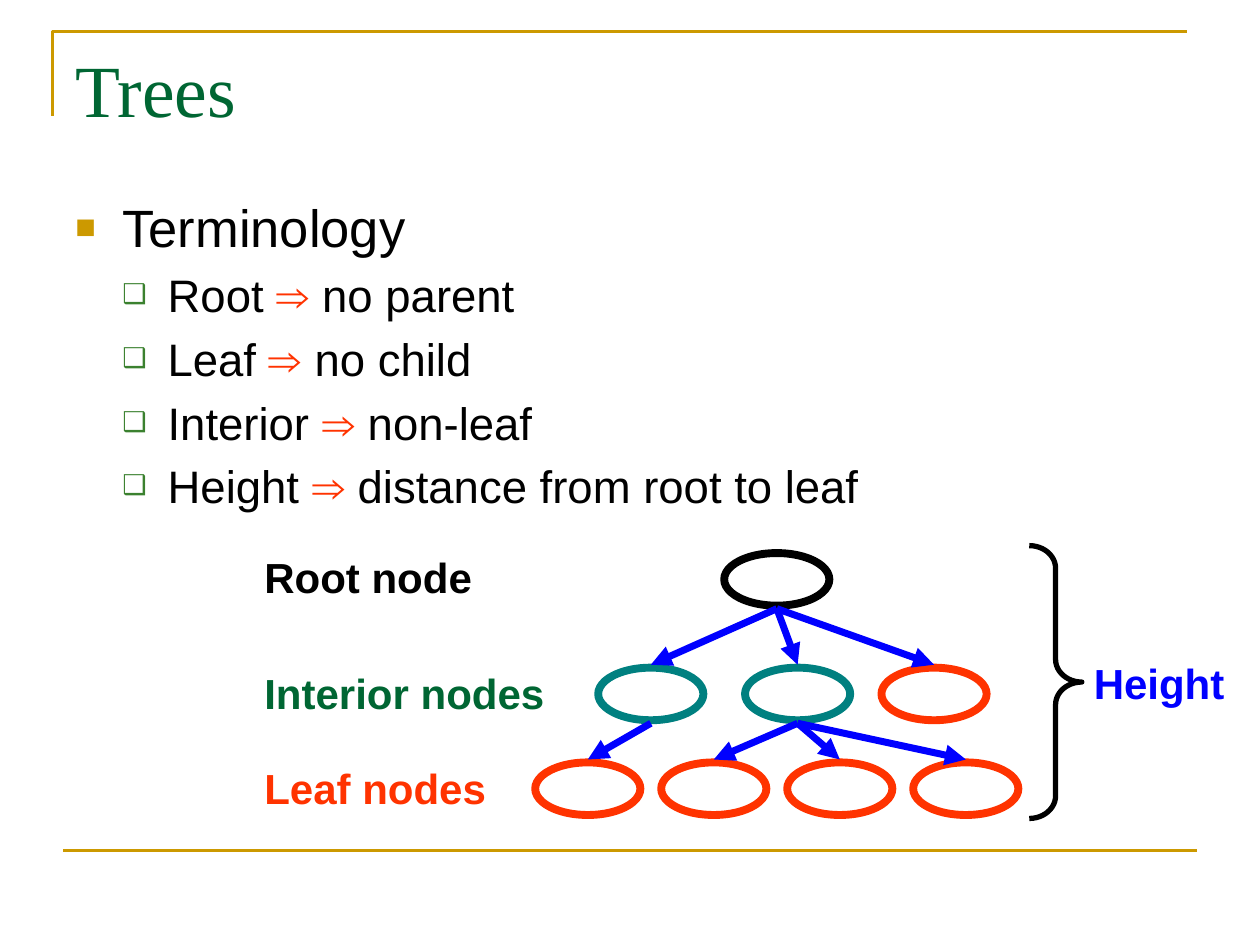
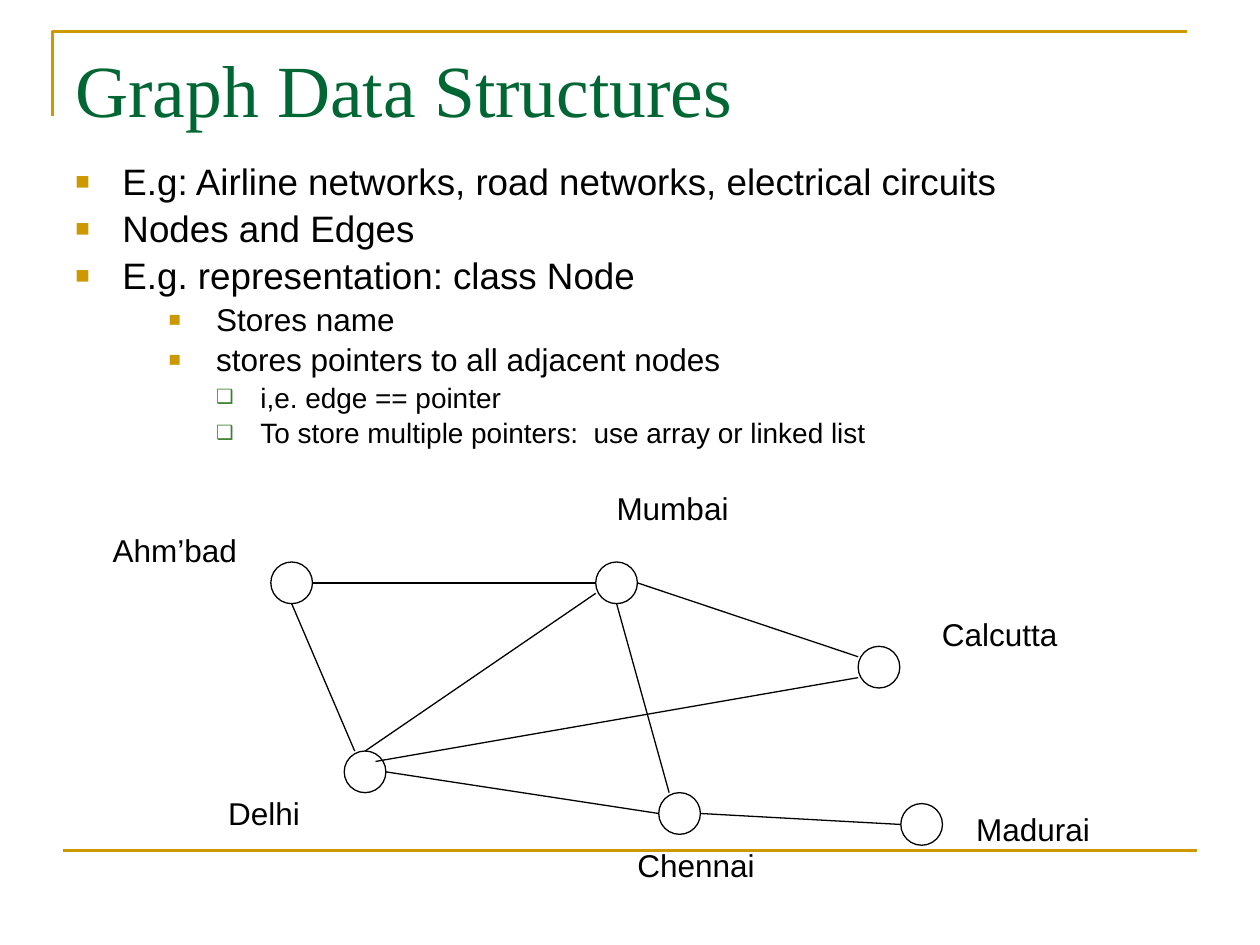
from dataclasses import dataclass

from lxml import etree
from pptx import Presentation
from pptx import util as u
from pptx.dml.color import RGBColor
from pptx.enum import shapes, text
from pptx.oxml.ns import qn


@dataclass(frozen=True)
class Theme:
    gold: str = "CC9900"
    green: str = "006633"
    leaf_green: str = "3B812F"
    teal: str = "008080"
    red: str = "FF3300"
    blue: str = "0000FF"
    black: str = "000000"
    title_font: str = "Times New Roman"
    body_font: str = "Arial"
    title_size: int = 42
    topic_size: int = 30
    term_size: int = 26
    label_size: int = 24
    point_size: int = 21
    detail_size: int = 18
    note_size: int = 16


@dataclass(frozen=True)
class Level:
    size: int
    left: float
    hanging: float
    bullet: str
    bullet_color: str
    bullet_percent: int


THEME = Theme()
SQUARE = ("■", THEME.gold, 65)
TOPIC = Level(THEME.topic_size, 0.95, 0.95, *SQUARE)
TERM = Level(THEME.term_size, 1.86, 0.91, "❑", THEME.leaf_green, 60)
POINT = Level(THEME.point_size, 0.95, 0.95, *SQUARE)
DETAIL = Level(THEME.detail_size, 2.84, 0.96, *SQUARE)
NOTE = Level(THEME.note_size, 3.73, 0.89, "❑", THEME.leaf_green, 70)


def rgb(color):
    return RGBColor.from_string(color)


def cm(*lengths):
    return [u.Cm(length) for length in lengths]


class Deck:
    def __init__(self, theme):
        self.theme = theme
        self.prs = Presentation()
        self.prs.slide_width, self.prs.slide_height = cm(25.4, 19.05)
        self.slide = None

    def new_slide(self, title):
        self.slide = self.prs.slides.add_slide(self.prs.slide_layouts[6])
        corner = self.slide.shapes.build_freeform(*cm(1.06, 2.33))
        corner.add_line_segments([cm(1.06, 0.64), cm(23.92, 0.64)], close=False)
        self.outline(corner.convert_to_shape(), self.theme.gold, 1.5)
        self.line((1.27, 17.15), (24.13, 17.15), self.theme.gold, 1.5)
        frame = self.text_box(1.27, 0.76, 22.86, 3.18)
        frame.text = title
        self.style(frame.paragraphs[0].font, self.theme.title_size,
                   self.theme.green, self.theme.title_font)

    def style(self, font, size, color, name=None, bold=False):
        font.name = name or self.theme.body_font
        font.size = u.Pt(size)
        font.bold = bold
        font.color.rgb = rgb(color)

    def outline(self, shape, color, width):
        shape.shadow.inherit = False
        shape.fill.background()
        shape.line.color.rgb = rgb(color)
        shape.line.width = u.Pt(width)

    def text_box(self, left, top, width, height):
        frame = self.slide.shapes.add_textbox(*cm(left, top, width, height)).text_frame
        frame.word_wrap = True
        return frame

    def label(self, words, left, top, width, height, size, color, bold=False):
        frame = self.text_box(left, top, width, height)
        frame.word_wrap = False
        frame.auto_size = text.MSO_AUTO_SIZE.SHAPE_TO_FIT_TEXT
        frame.text = words
        self.style(frame.paragraphs[0].font, size, color, bold=bold)

    def bullets(self, left, top, width, height, items, spacing=1.0):
        frame = self.text_box(left, top, width, height)
        for number, (level, *parts) in enumerate(items):
            paragraph = frame.add_paragraph() if number else frame.paragraphs[0]
            paragraph.line_spacing = spacing
            if number:
                paragraph.space_before = u.Pt(round(level.size * 0.2, 1))
            self.bullet(paragraph, level)
            self.style(paragraph.font, level.size, self.theme.black)
            for part in parts:
                run = paragraph.add_run()
                run.text = part
                if part == "⇒ ":
                    run.font.color.rgb = rgb(self.theme.red)

    def bullet(self, paragraph, level):
        props = paragraph._p.get_or_add_pPr()
        props.set("marL", str(u.Cm(level.left)))
        props.set("indent", str(-u.Cm(level.hanging)))
        color = etree.SubElement(props, qn("a:buClr"))
        etree.SubElement(color, qn("a:srgbClr"), val=level.bullet_color)
        etree.SubElement(props, qn("a:buSzPct"), val=str(level.bullet_percent * 1000))
        etree.SubElement(props, qn("a:buFont"), typeface=self.theme.body_font)
        etree.SubElement(props, qn("a:buChar"), char=level.bullet)

    def oval(self, center, width, height, color, weight):
        x, y = center
        oval = self.slide.shapes.add_shape(
            shapes.MSO_SHAPE.OVAL, *cm(x - width / 2, y - height / 2, width, height))
        self.outline(oval, color, weight)

    def brace(self, left, top, width, height, weight):
        brace = self.slide.shapes.add_shape(
            shapes.MSO_SHAPE.RIGHT_BRACE, *cm(left, top, width, height))
        brace.adjustments[0] = 0.43
        brace.adjustments[1] = 0.5
        self.outline(brace, self.theme.black, weight)

    def line(self, start, end, color, width, arrow=False):
        line = self.slide.shapes.add_connector(
            shapes.MSO_CONNECTOR.STRAIGHT, *cm(*start, *end))
        line.line.color.rgb = rgb(color)
        line.line.width = u.Pt(width)
        if arrow:
            etree.SubElement(line.line._get_or_add_ln(), qn("a:tailEnd"), type="triangle")
        etree.SubElement(line._element.spPr, qn("a:effectLst"))


def trees(deck):
    theme = deck.theme
    deck.new_slide("Trees")
    terms = [("Root ", "no parent"), ("Leaf ", "no child"), ("Interior ", "non-leaf"),
             ("Height ", "distance from root to leaf")]
    deck.bullets(1.27, 3.81, 22.86, 12.57, [(TOPIC, "Terminology")] + [
        (TERM, term, "⇒ ", meaning) for term, meaning in terms])

    node_width, node_height, gap = 2.12, 1.06, 0.06
    root = (15.66, 11.68)
    left_interior, right_interior, upper_leaf = [(x, 13.99) for x in (13.12, 16.08, 18.83)]
    leaves = [(11.85 + 2.54 * column, 15.9) for column in range(4)]
    for color, nodes in [(theme.black, [root]),
                         (theme.teal, [left_interior, right_interior]),
                         (theme.red, [upper_leaf, *leaves])]:
        for node in nodes:
            deck.oval(node, node_width, node_height, color, 4.5)

    reach = node_height / 2 + gap
    for parent, children in [(root, [left_interior, right_interior, upper_leaf]),
                             (left_interior, leaves[:1]), (right_interior, leaves[1:])]:
        for child in children:
            deck.line((parent[0], parent[1] + reach), (child[0], child[1] - reach),
                      theme.blue, 4, arrow=True)

    for words, left, top, width, color in [
            ("Root node", 5.08, 11, 4.7, theme.black),
            ("Interior nodes", 5.08, 13.33, 6.15, theme.green),
            ("Leaf nodes", 5.08, 15.24, 4.98, theme.red),
            ("Height", 21.8, 13.13, 3.15, theme.blue)]:
        deck.label(words, left, top, width, 1.27, theme.label_size, color, bold=True)
    deck.brace(20.75, 11, 1.06, 5.5, 3)


def graphs(deck):
    theme = deck.theme
    deck.new_slide("Graph Data Structures")
    deck.bullets(1.27, 3.18, 23.06, 6.35, [
        (POINT, "E.g: Airline networks, road networks, electrical circuits"),
        (POINT, "Nodes and Edges"),
        (POINT, "E.g. representation: class Node"),
        (DETAIL, "Stores name"),
        (DETAIL, "stores pointers to all adjacent nodes"),
        (NOTE, "i,e. edge == pointer"),
        (NOTE, "To store multiple pointers:  use array or linked list"),
    ], spacing=0.9)

    quarter = 0.21
    cities = {
        "Ahm’bad": ((5.88, 11.75), (2.02, 10.58, 3.05)),
        "Mumbai": ((12.43, 11.75), (12.18, 9.73, 2.85)),
        "Delhi": ((7.36, 15.56), (4.35, 15.88, 2.05)),
        "Chennai": ((13.7, 16.4), (12.6, 16.93, 2.95)),
        "Calcutta": ((17.72, 13.45), (18.74, 12.27, 2.95)),
        "Madurai": ((18.58, 16.62), (19.43, 16.2, 2.95)),
    }
    for city, (center, (left, top, width)) in cities.items():
        deck.oval(center, 4 * quarter, 4 * quarter, theme.black, 0.75)
        deck.label(city, left, top, width, 1.02, theme.detail_size, theme.black)

    def rim(city, across, down):
        x, y = cities[city][0]
        return x + across * quarter, y + down * quarter

    for start, end in [
            (("Ahm’bad", 2, 0), ("Mumbai", -2, 0)),
            (("Ahm’bad", 0, 2), ("Delhi", -1, -2)),
            (("Delhi", 2, 0), ("Chennai", -2, 0)),
            (("Delhi", 1, -1), ("Calcutta", -2, 1)),
            (("Delhi", 0, -2), ("Mumbai", -2, 1)),
            (("Mumbai", 2, 0), ("Calcutta", -2, -1)),
            (("Mumbai", 0, 2), ("Chennai", -1, -2)),
            (("Chennai", 2, 0), ("Madurai", -2, 0))]:
        deck.line(rim(*start), rim(*end), theme.black, 0.75)


def main():
    deck = Deck(THEME)
    trees(deck)
    graphs(deck)
    deck.prs.save("out.pptx")


if __name__ == "__main__":
    main()
